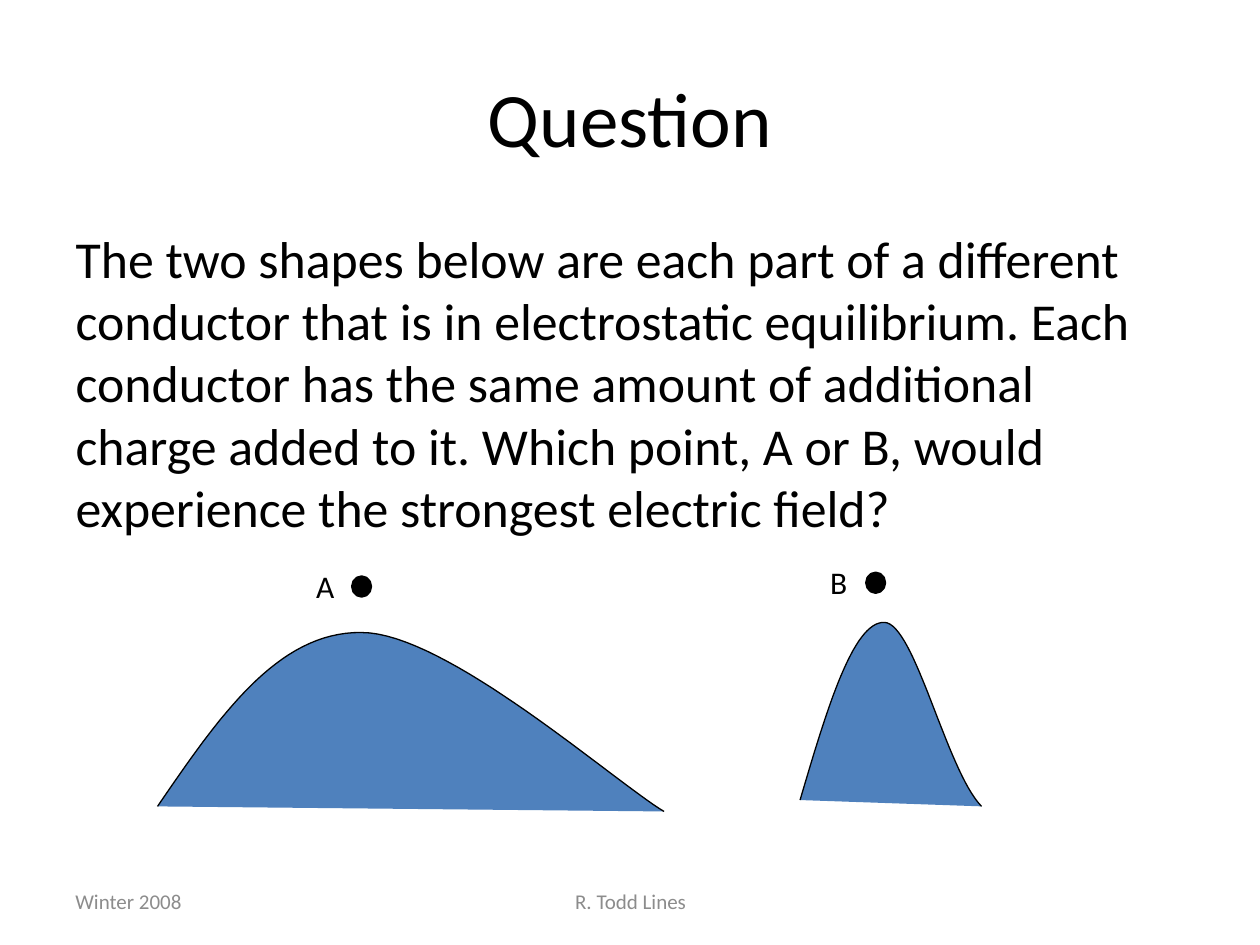
import pptx
import pptx.util
import pptx.dml.color
import pptx.enum.shapes
import pptx.enum.text
import lxml.etree
from pptx.oxml.ns import qn

Inches = pptx.util.Inches
Pt = pptx.util.Pt
RGBColor = pptx.dml.color.RGBColor
ALIGN = pptx.enum.text.PP_ALIGN
ANCHOR = pptx.enum.text.MSO_ANCHOR
FIT = pptx.enum.text.MSO_AUTO_SIZE

BLACK = RGBColor(0x00, 0x00, 0x00)
GRAY = RGBColor(0x8C, 0x8C, 0x8C)
BLUE = RGBColor(0x4F, 0x81, 0xBD)
FONT = "Calibri"
STEPS = 32


def write(frame, text, size=18, color=BLACK, align=ALIGN.LEFT,
          anchor=ANCHOR.TOP, wrap=True, fit=FIT.NONE):
    frame.word_wrap = wrap
    frame.auto_size = fit
    frame.vertical_anchor = anchor
    para = frame.paragraphs[0]
    para.text = text
    para.alignment = align
    para.space_before = Pt(0)
    props = para._p.get_or_add_pPr()
    props.set("marL", "0")
    props.set("indent", "0")
    lxml.etree.SubElement(props, qn("a:buNone"))
    font = para.runs[0].font
    font.name = FONT
    font.size = Pt(size)
    font.color.rgb = color


def bezier(start, first, second, end):
    for step in range(1, STEPS + 1):
        t = step / STEPS
        u = 1 - t
        yield tuple(
            Inches(u**3 * a + 3 * u**2 * t * b + 3 * u * t**2 * c + t**3 * d)
            for a, b, c, d in zip(start, first, second, end))


class Page:
    def __init__(self, deck):
        self.slide = deck.slides.add_slide(deck.slide_layouts[1])
        self.shapes = self.slide.shapes

    def place(self, index, text, box, **style):
        holder = self.slide.placeholders[index]
        holder.left, holder.top, holder.width, holder.height = map(Inches, box)
        write(holder.text_frame, text, **style)

    def label(self, text, box, **style):
        frame = self.shapes.add_textbox(*map(Inches, box)).text_frame
        write(frame, text, **style)

    def paint(self, shape, fill, width):
        shape.shadow.inherit = False
        shape.fill.solid()
        shape.fill.fore_color.rgb = fill
        shape.line.color.rgb = BLACK
        shape.line.width = Pt(width)

    def hump(self, start, *curves):
        points = []
        last = start
        for curve in curves:
            points.extend(bezier(last, *curve))
            last = curve[-1]
        pen = self.shapes.build_freeform(*map(Inches, start))
        pen.add_line_segments(points, close=False)
        self.paint(pen.convert_to_shape(), BLUE, 0.75)

    def point(self, name, left, top):
        dot = self.shapes.add_shape(
            pptx.enum.shapes.MSO_SHAPE.OVAL,
            Inches(left), Inches(top), Inches(0.14), Inches(0.15))
        self.paint(dot, BLACK, 2)
        self.label(name, (left - 0.39, top - 0.13, 0.35, 0.4),
                   wrap=False, fit=FIT.SHAPE_TO_FIT_TEXT)


def main():
    deck = pptx.Presentation()
    deck.slide_width = Inches(10)
    deck.slide_height = Inches(7.5)
    page = Page(deck)
    foot = dict(size=12, color=GRAY, anchor=ANCHOR.MIDDLE)
    page.label("Winter 2008", (0.5, 6.95, 2.33, 0.4), **foot)
    page.label("R. Todd Lines", (3.42, 6.95, 3.17, 0.4),
               align=ALIGN.CENTER, **foot)
    page.place(0, "Question", (0.5, 0.3, 9, 1.25), size=44,
               align=ALIGN.CENTER, anchor=ANCHOR.MIDDLE)
    page.place(1, "The two shapes below are each part of a different "
               "conductor that is in electrostatic equilibrium. Each "
               "conductor has the same amount of additional charge added "
               "to it. Which point, A or B, would experience the strongest "
               "electric field?", (0.5, 1.75, 9, 2.62), size=29.6)
    page.hump((1.25, 6.4),
              ((1.73, 5.7), (2.2, 5.01), (2.87, 5.02)),
              ((3.54, 5.02), (4.87, 6.2), (5.27, 6.44)))
    page.hump((6.35, 6.35),
              ((6.56, 5.64), (6.77, 4.93), (7.02, 4.94)),
              ((7.26, 4.95), (7.51, 6.11), (7.79, 6.4)))
    page.point("A", 2.8, 4.58)
    page.point("B", 6.88, 4.55)
    deck.save("out.pptx")


if __name__ == "__main__":
    main()
